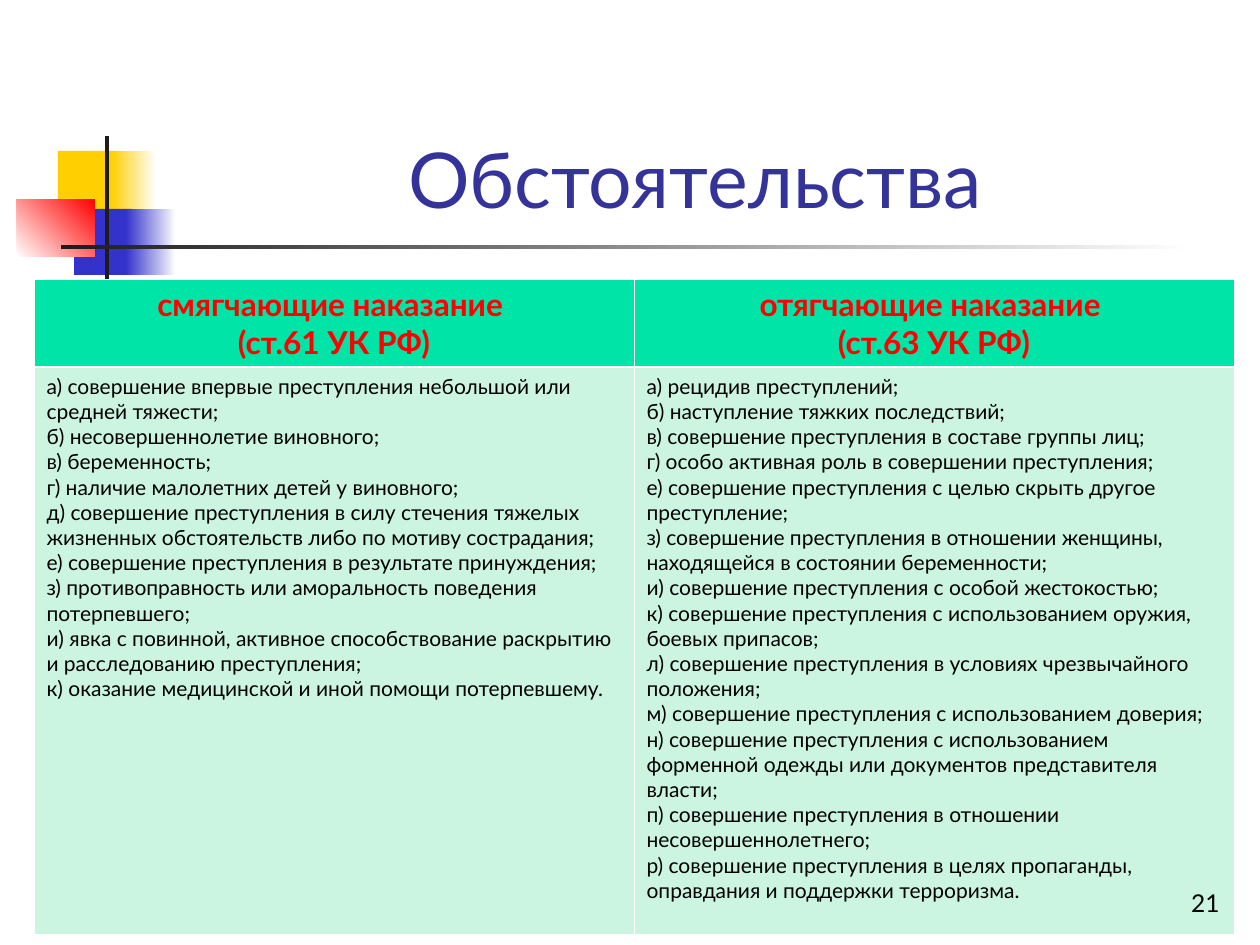
from lxml.etree import SubElement as Sub
from pptx import Presentation
from pptx.dml.color import RGBColor as RGB
from pptx.enum.shapes import MSO_SHAPE as Shape
from pptx.enum.text import MSO_ANCHOR as Anchor, PP_ALIGN as Align
from pptx.oxml.ns import qn
from pptx.util import Pt

PX = 914400 / 126
FONT = "Lato"
HUE = {
    "gold": "FFCF01", "blue": "3333CC", "red": "FF0000", "ink": "1C1C1C",
    "white": "FFFFFF", "title": "333399", "black": "000000",
    "head": "00E4A8", "body": "CBF5E1",
}
DECOR = [
    ((58, 151, 60, 66), ["gold"], 0),
    ((111, 151, 45, 66), ["gold", "white"], 0),
    ((74, 209, 58, 66), ["blue"], 0),
    ((126, 209, 50, 66), ["blue", "white"], 0),
    ((17, 199, 78, 58), ["white", "red"], 45),
    ((105, 136, 4, 145), ["ink"], 0),
    ((61, 245, 1134, 4), ["ink", "white"], 0),
]
HEADS = [
    ["смягчающие наказание ", "(ст.61 УК РФ)"],
    ["отягчающие наказание ", "(ст.63 УК РФ)"],
]
LISTS = [
    [
        "а) совершение впервые преступления небольшой или средней тяжести;",
        "б) несовершеннолетие виновного;",
        "в) беременность;",
        "г) наличие малолетних детей у виновного;",
        "д) совершение преступления в силу стечения тяжелых жизненных обстоятельств либо по мотиву сострадания;",
        "е) совершение преступления в результате принуждения;",
        "з) противоправность или аморальность поведения потерпевшего;",
        "и) явка с повинной, активное способствование раскрытию и расследованию преступления;",
        "к) оказание медицинской и иной помощи потерпевшему.",
    ],
    [
        "а) рецидив преступлений;",
        "б) наступление тяжких последствий;",
        "в) совершение преступления в составе группы лиц;",
        "г) особо активная роль в совершении преступления;",
        "е) совершение преступления с целью скрыть другое преступление;",
        "з) совершение преступления в отношении женщины, находящейся в состоянии беременности;",
        "и) совершение преступления с особой жестокостью;",
        "к) совершение преступления с использованием оружия, боевых припасов;",
        "л) совершение преступления в условиях чрезвычайного положения;",
        "м) совершение преступления с использованием доверия;",
        "н) совершение преступления с использованием форменной одежды или документов представителя власти;",
        "п) совершение преступления в отношении несовершеннолетнего;",
        "р) совершение преступления в целях пропаганды, оправдания и поддержки терроризма.",
    ],
]


def px(*nums):
    return [round(n * PX) for n in nums]


def tint(name):
    return RGB.from_string(HUE[name])


def write(frame, lines, size, hue, align, bold=False):
    frame.word_wrap = True
    for i, line in enumerate(lines):
        para = frame.add_paragraph() if i else frame.paragraphs[0]
        para.alignment = align
        run = para.add_run()
        run.text = line
        font = run.font
        font.name, font.size, font.bold = FONT, Pt(size), bold
        font.color.rgb = tint(hue)


def block(slide, box, hues, angle):
    shape = slide.shapes.add_shape(Shape.RECTANGLE, *px(*box))
    shape.shadow.inherit = False
    shape.line.fill.background()
    fill = shape.fill
    if len(hues) == 1:
        fill.solid()
        fill.fore_color.rgb = tint(hues[0])
        return
    fill.gradient()
    fill.gradient_angle = angle
    for stop, hue in zip(fill.gradient_stops, hues):
        stop.color.rgb = tint(hue)


def label(slide, box, text, size, hue, align):
    frame = slide.shapes.add_textbox(*px(*box)).text_frame
    frame.vertical_anchor = Anchor.BOTTOM
    write(frame, [text], size, hue, align)


def edge(cell, side, width):
    line = Sub(cell._tc.get_or_add_tcPr(), qn("a:ln" + side), w=str(Pt(width)))
    fill = Sub(line, qn("a:solidFill"))
    Sub(fill, qn("a:srgbClr"), val=HUE["white"])


def paint(cell, hue, thick):
    for side in "LRTB":
        edge(cell, side, 1.47 if side == thick else 0.45)
    cell.fill.solid()
    cell.fill.fore_color.rgb = tint(hue)


def grid(slide, box, rows):
    table = slide.shapes.add_table(2, 2, *px(*box)).table
    for row, high in zip(table.rows, px(*rows)):
        row.height = high
    for col in range(2):
        head, body = table.cell(0, col), table.cell(1, col)
        paint(head, "head", "B")
        write(head.text_frame, HEADS[col], 18, "red", Align.CENTER, True)
        paint(body, "body", "T")
        write(body.text_frame, LISTS[col], 12, "black", Align.LEFT)


def main():
    """Build the slide on circumstances of punishment."""
    deck = Presentation()
    deck.slide_width, deck.slide_height = px(1260, 945)
    slide = deck.slides.add_slide(deck.slide_layouts[6])
    for box, hues, angle in DECOR:
        block(slide, box, hues, angle)
    label(slide, (159, 55, 1073, 175), "Обстоятельства", 44, "title", Align.CENTER)
    grid(slide, (34, 279, 1200, 655), (88, 567))
    label(slide, (970, 861, 262, 63), "21", 14, "black", Align.RIGHT)
    deck.save("out.pptx")


if __name__ == "__main__":
    main()
